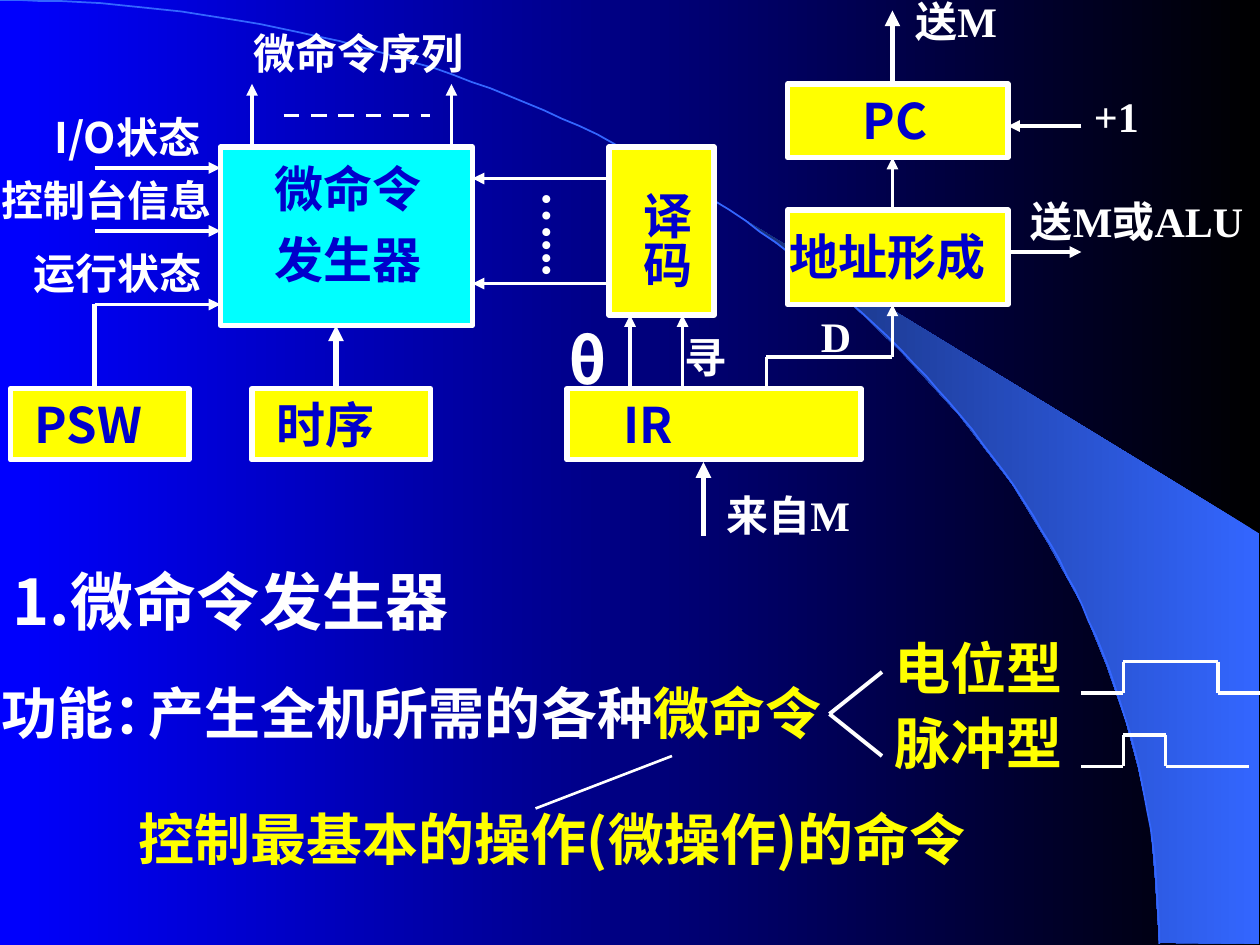
import math

from lxml import etree
from pptx import Presentation
from pptx import util as u
from pptx.dml.color import RGBColor
from pptx.enum import dml, shapes, text
from pptx.oxml.ns import qn

PX = 7620  # EMU per px, 120 px to the inch
COLORS = {
    "white": "FFFFFF", "yellow": "FFFF00", "cyan": "00FFFF", "ink": "0000CC",
    "black": "000000", "blue": "0000FF", "glow": "3366FF", "shade": "172F75",
}
SERIF, SANS = "Times New Roman", "Noto Sans CJK SC"


def rgb(name):
    return RGBColor.from_string(COLORS[name])


def set_gradient(fill, start, end):
    """Fill from right (start) to left (end)."""
    fill.gradient()
    fill.gradient_angle = 180
    for stop, color in zip(fill.gradient_stops, (start, end)):
        stop.color.rgb = rgb(color)


def write(frame, paragraphs, size, font=SERIF, spacing=None, gap=0):
    """Write paragraphs, each a list of (words, color) runs."""
    frame.word_wrap = True
    frame.auto_size = text.MSO_AUTO_SIZE.SHAPE_TO_FIT_TEXT
    frame.vertical_anchor = text.MSO_ANCHOR.TOP
    for index, runs in enumerate(paragraphs):
        paragraph = frame.add_paragraph() if index else frame.paragraphs[0]
        paragraph.alignment = text.PP_ALIGN.LEFT
        paragraph.space_before = u.Pt(gap if index else 0)
        if spacing:
            paragraph.line_spacing = spacing
        for words, color in runs:
            run = paragraph.add_run()
            run.text = words
            run.font.size, run.font.bold, run.font.name = u.Pt(size), True, font
            run.font.color.rgb = rgb(color)
            east_asian = etree.SubElement(run._r.get_or_add_rPr(), qn("a:ea"))
            east_asian.set("typeface", SANS)


class Region:
    """Part of a slide whose items are placed relative to its corner."""

    def __init__(self, slide, left, top):
        self.slide, self.left, self.top = slide, left, top

    def point(self, x, y):
        return (self.left + x) * PX, (self.top + y) * PX

    def box(self, x, y, width, height):
        return *self.point(x, y), width * PX, height * PX

    def move(self, shape, box):
        shape.left, shape.top, shape.width, shape.height = self.box(*box)

    def block(self, box, color="yellow", words=None, indent=0):
        shape = self.slide.shapes.add_shape(shapes.MSO_SHAPE.RECTANGLE, *self.box(*box))
        shape.shadow.inherit = False
        shape.fill.solid()
        shape.fill.fore_color.rgb = rgb(color)
        shape.line.color.rgb = rgb("white")
        shape.line.width = u.Pt(3)
        if words:
            write(shape.text_frame, [[(words, "ink")]], 28, SANS)
            shape.text_frame.margin_left = (12 + indent) * PX

    def label(self, box, words, color="white", size=24, font=SERIF, **style):
        """Add a text box; words is a string or a list of paragraphs."""
        frame = self.slide.shapes.add_textbox(*self.box(*box)).text_frame
        paragraphs = [[(words, color)]] if isinstance(words, str) else words
        write(frame, paragraphs, size, font, **style)
        return frame

    def vertical_label(self, box, words, color):
        frame = self.label(box, words, color, 28)
        frame._txBody.bodyPr.set("vert", "eaVert")
        frame.margin_left = frame.margin_right = 6 * PX
        frame.margin_top = frame.margin_bottom = 12 * PX

    def line(self, *points, width=2.25, arrow=False, dashed=False):
        """Join the points with straight lines; the arrow ends the last one."""
        for start, end in zip(points, points[1:]):
            connector = self.slide.shapes.add_connector(
                shapes.MSO_CONNECTOR.STRAIGHT, *self.point(*start), *self.point(*end))
            connector.line.color.rgb = rgb("white")
            connector.line.width = u.Pt(width)
            if dashed:
                connector.line.dash_style = dml.MSO_LINE.DASH
            etree.SubElement(connector._element.spPr, qn("a:effectLst"))
        if arrow:
            tail = etree.SubElement(connector.line._get_or_add_ln(), qn("a:tailEnd"))
            tail.set("type", "triangle")


def freeform(slide, points, closed):
    builder = slide.shapes.build_freeform(*points[0], scale=PX)
    builder.add_line_segments(points[1:], close=closed)
    shape = builder.convert_to_shape()
    shape.shadow.inherit = False
    return shape


def add_backdrop(slide):
    set_gradient(slide.background.fill, "black", "blue")
    beam = freeform(slide, [
        (1104, 898), (1199, 899), (1199, 508), (707, 208), (749, 239), (784, 266),
        (822, 300), (859, 336), (914, 396), (964, 461), (998, 517), (1030, 575),
        (1054, 634), (1072, 686), (1084, 731), (1096, 787), (1100, 835)], True)
    set_gradient(beam.fill, "glow", "shade")
    beam.line.fill.background()
    angles = [math.radians(degree) for degree in range(91)]
    arc = freeform(slide, [(round(1104 * math.sin(a)), round(899 * (1 - math.cos(a))))
                           for a in angles], False)
    arc.fill.background()
    arc.line.color.rgb = rgb("glow")
    arc.line.width = u.Pt(1)


def add_generator(slide, left, top):
    region = Region(slide, left, top)
    region.line((270, 90), (410, 90), dashed=True)
    for x in (240, 430):
        region.line((x, 120), (x, 60), arrow=True)
    region.label((230, 0, 230, 60), "微命令序列")
    for y in (140, 200, 270):
        region.line((90, y), (210, y), arrow=True)
    region.label((40, 80, 190, 60), "I/O状态", font=SANS)
    region.label((-10, 140, 230, 60), "控制台信息")
    region.label((20, 210, 230, 60), "运行状态")
    region.line((90, 270), (90, 350), width=3)
    region.line((320, 360), (320, 290), width=3, arrow=True)
    for x, words in ((10, "PSW"), (240, "时序")):
        region.block((x, 350, 170, 68), words=words, indent=11)
    region.block((210, 120, 240, 170), "cyan")
    region.label((250, 140, 170, 120), [[("微命令", "ink")], [("发生器", "ink")]],
                 size=28, spacing=0.7, gap=17.5)


def add_decoder(slide, left, top):
    region = Region(slide, left, top)
    region.block((130, 0, 100, 160))
    region.vertical_label((140, 30, 79, 130), "译码", "ink")
    for y in (30, 130):
        region.line((130, y), (0, y), arrow=True)
    region.vertical_label((41, 30, 79, 130), "…...", "white")
    region.block((90, 230, 280, 68), words="IR", indent=42)
    for x in (150, 200):
        region.line((x, 230), (x, 160), arrow=True)
    region.line((220, 370), (220, 300), width=3, arrow=True)
    region.label((80, 160, 150, 84), "θ", size=36, font=SANS)
    region.label((190, 170, 130, 60), "寻")
    region.label((230, 320, 230, 60), "来自M")


def add_addressing(slide, left, top):
    region = Region(slide, left, top)
    region.block((20, 80, 210, 70))
    region.block((20, 200, 210, 90))
    region.label((10, 210, 270, 68), "地址形成", "ink", 28)
    region.label((80, 80, 170, 68), "PC", "ink", 28, SANS)
    region.line((120, 200), (120, 150), arrow=True)
    region.line((0, 370), (0, 340), (120, 340), (120, 290), arrow=True)
    region.line((300, 120), (230, 120), arrow=True)
    region.line((230, 240), (300, 240), arrow=True)
    region.line((120, 80), (120, 10), width=3, arrow=True)
    region.label((40, 290, 130, 60), "D")
    region.label((240, 180, 230, 108), "送M或ALU")
    region.label((300, 80, 130, 60), "+1")
    region.label((130, -10, 130, 60), "送M")


def add_function_notes(slide, left, top):
    region = Region(slide, left, top)
    title, body = slide.shapes.title, slide.placeholders[1]
    region.move(title, (0, 0, 490, 84))
    write(title.text_frame, [[("1.微命令发生器", "white")]], 36, SANS)
    region.label((-10, 110, 200, 77), "功能：", size=32)
    region.label((130, 110, 830, 77),
                 [[("产生全机所需的各种", "white"), ("微命令", "yellow")]], size=32)
    region.line((510, 240), (640, 190), width=1.5)
    region.label((120, 230, 870, 77), "控制最基本的操作(微操作)的命令", "yellow", 32, SANS)
    region.line((840, 110), (790, 150), (840, 190))
    region.move(body, (840, 90, 200, 122))
    write(body.text_frame, [[("电位型", "yellow")], [("脉冲型", "yellow")]], 32,
          spacing=0.6, gap=20)
    for paragraph in body.text_frame.paragraphs:
        properties = paragraph._p.get_or_add_pPr()
        properties.set("marL", "0")
        properties.set("indent", "0")
        etree.SubElement(properties, qn("a:buNone"))


def add_pulse(slide, left, top, fall, end):
    """Draw a wave that rises at 40 and drops at fall."""
    Region(slide, left, top).line(
        (0, 30), (40, 30), (40, 0), (fall, 0), (fall, 30), (end, 30))


def main():
    presentation = Presentation()
    presentation.slide_width, presentation.slide_height = 1200 * PX, 900 * PX
    slide = presentation.slides.add_slide(presentation.slide_layouts[1])
    add_backdrop(slide)
    add_generator(slide, 0, 20)
    add_decoder(slide, 450, 140)
    add_addressing(slide, 730, 0)
    add_function_notes(slide, 0, 530)
    add_pulse(slide, 1030, 630, fall=130, end=170)
    add_pulse(slide, 1030, 700, fall=80, end=160)
    presentation.save("out.pptx")


if __name__ == "__main__":
    main()
